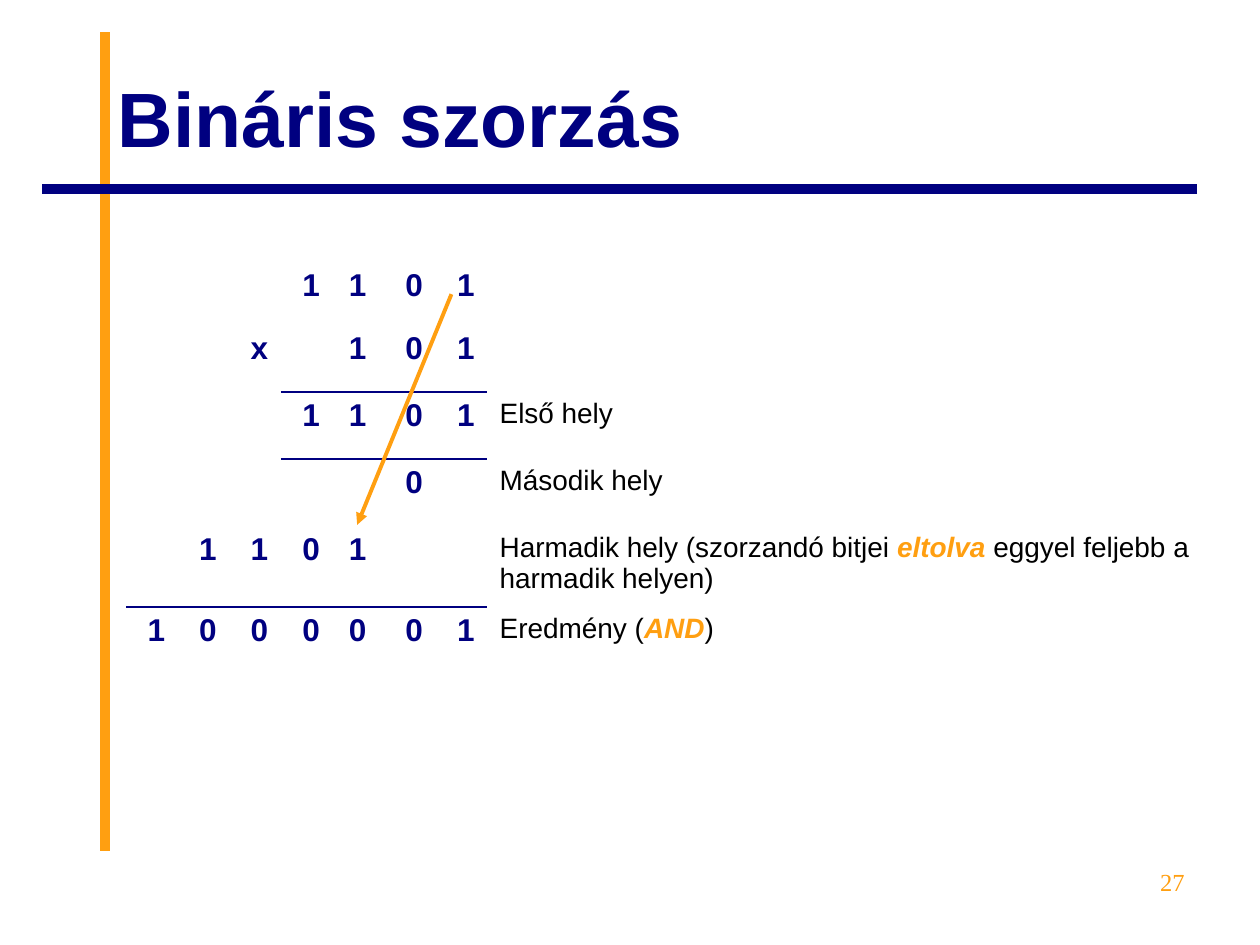
"""Build a slide that explains binary multiplication step by step."""
from lxml import etree
from pptx import Presentation
from pptx.dml.color import RGBColor
from pptx.enum.shapes import MSO_CONNECTOR
from pptx.enum.text import MSO_ANCHOR, PP_ALIGN
from pptx.oxml import parse_xml
from pptx.oxml.ns import nsdecls, qn
from pptx.util import Cm, Pt

COLOURS = {"navy": "000080", "orange": "FF9F11", "black": "000000"}
TITLE = "Bináris szorzás"
PAGE_NUMBER = "27"
ROWS = [
    ("   1101", []),
    ("  x 101", []),
    ("   1101", [("Első hely", False)]),
    ("     0 ", [("Második hely", False)]),
    (" 1101  ", [("Harmadik hely (szorzandó bitjei ", False), ("eltolva ", True),
                 ("eggyel feljebb a harmadik helyen)", False)]),
    ("1000001", [("Eredmény (", False), ("AND", True), (")", False)]),
]
ROW_HEIGHTS = [1.27, 1.35, 1.35, 1.35, 1.63, 1.35]
COLUMN_WIDTHS = [1.04, 1.04, 1.04, 1.04, 0.94, 1.14, 1.04, 15.6]
RULES = {1: range(3, 7), 4: range(0, 7)}
RULE_WIDTH = 1.08
NO_STYLE = "{2D5ABB26-0587-4C30-8999-92F81FD0307C}"


def add_span(paragraph, text, size, colour, font="Arial", bold=False, italic=False):
    span = paragraph.add_run()
    span.text = text
    span.font.name = font
    span.font.size = Pt(size)
    span.font.bold = bold
    span.font.italic = italic
    span.font.color.rgb = RGBColor.from_string(COLOURS[colour])


def add_line(page, start, end, colour, width, arrow=False):
    line = page.shapes.add_connector(
        MSO_CONNECTOR.STRAIGHT, *(Cm(value) for value in start + end))
    line.line.color.rgb = RGBColor.from_string(COLOURS[colour])
    line.line.width = Pt(width)
    if arrow:
        etree.SubElement(line.line._get_or_add_ln(), qn("a:tailEnd"), type="triangle")
    etree.SubElement(line._element.spPr, qn("a:effectLst"))


def add_box(page, left, top, width, height):
    box = page.shapes.add_textbox(Cm(left), Cm(top), Cm(width), Cm(height))
    box.text_frame.word_wrap = True
    return box.text_frame


def add_border(cell, side):
    border = parse_xml(
        f'<a:{side} {nsdecls("a")} w="{Pt(RULE_WIDTH)}"><a:solidFill>'
        f'<a:srgbClr val="{COLOURS["navy"]}"/></a:solidFill></a:{side}>')
    cell._tc.get_or_add_tcPr().insert(0, border)


def add_multiplication(page):
    frame = page.shapes.add_table(
        len(ROWS), len(COLUMN_WIDTHS), Cm(2.54), Cm(5.28),
        Cm(sum(COLUMN_WIDTHS)), Cm(sum(ROW_HEIGHTS)))
    table = frame.table
    table.first_row = table.horz_banding = False
    table._tbl.tblPr.find(qn("a:tableStyleId")).text = NO_STYLE
    for column, width in zip(table.columns, COLUMN_WIDTHS):
        column.width = Cm(width)
    for row, height in zip(table.rows, ROW_HEIGHTS):
        row.height = Cm(height)
    for cell in table.iter_cells():
        cell.fill.background()
    for row_index, (digits, label) in enumerate(ROWS):
        for column_index, digit in enumerate(digits):
            if digit != " ":
                paragraph = table.cell(row_index, column_index).text_frame.paragraphs[0]
                paragraph.alignment = PP_ALIGN.RIGHT
                add_span(paragraph, digit, 18, "navy", bold=True)
        paragraph = table.cell(row_index, len(digits)).text_frame.paragraphs[0]
        for text, strong in label:
            add_span(paragraph, text, 16, "orange" if strong else "black",
                     bold=strong, italic=strong)
    for row_index, columns in RULES.items():
        for column_index in columns:
            add_border(table.cell(row_index, column_index), "lnB")
            add_border(table.cell(row_index + 1, column_index), "lnT")


def main():
    deck = Presentation()
    deck.slide_width, deck.slide_height = Cm(25.4), Cm(19.05)
    page = deck.slides.add_slide(deck.slide_layouts[6])

    add_line(page, (2.12, 17.15), (2.12, 0.64), "orange", 5.5)
    add_line(page, (24.13, 3.81), (0.85, 3.81), "navy", 5.5)

    title = add_box(page, 2.12, 0.76, 22.01, 3.18)
    title.vertical_anchor = MSO_ANCHOR.MIDDLE
    add_span(title.paragraphs[0], TITLE, 44, "navy", bold=True)

    add_multiplication(page)
    add_line(page, (9.1, 5.93), (7.2, 10.58), "orange", 2.25, arrow=True)

    number = add_box(page, 18.2, 17.36, 5.93, 1.32).paragraphs[0]
    number.alignment = PP_ALIGN.RIGHT
    add_span(number, PAGE_NUMBER, 14, "orange", font="Times New Roman")

    deck.save("out.pptx")


if __name__ == "__main__":
    main()
